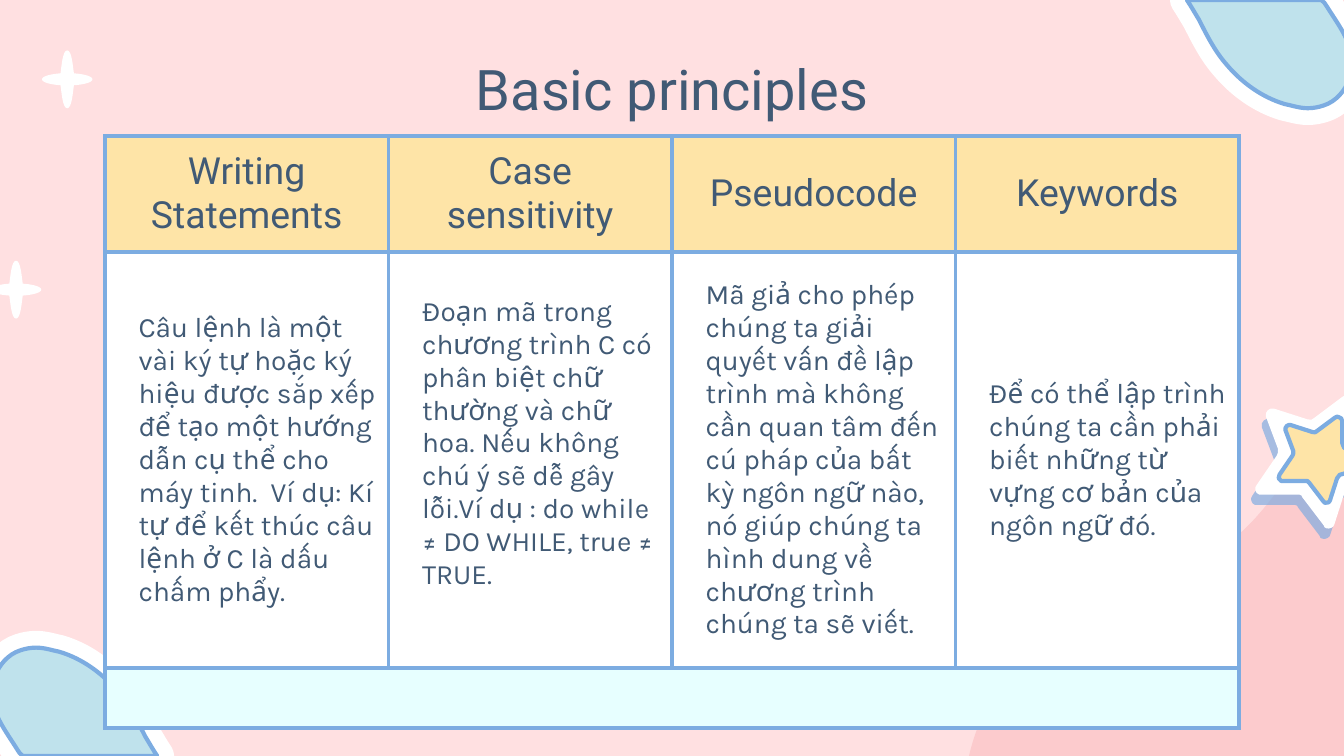
"""Builds the "Basic principles" slide with its table and pastel shapes."""
from dataclasses import dataclass

from lxml.etree import SubElement as Sub
from pptx import Presentation
from pptx.dml.color import RGBColor as Rgb
from pptx.enum.text import MSO_ANCHOR as Anchor, PP_ALIGN as Align
from pptx.oxml.ns import qn
from pptx.util import Pt

Path = list[tuple[float, ...]]
WIDE, HIGH = 720, 405
INK, BLUE, WHITE, MINT = "415A75", "7CACE1", "FFFFFF", "E7FFFF"
SAND, SKY, ROSE, BLUSH = "FEE4A7", "BFE2EC", "FCCBCD", "FFE0E1"
HEAD = {"size": Pt(20), "name": "Roboto"}
BODY = {"size": Pt(15), "name": "Karla"}
TITLE = {"size": Pt(30), "name": "Roboto"}
EDGES = ("a:lnL", "a:lnR", "a:lnT", "a:lnB")

DROP: Path = [
    (12.2, 405), (10.8, 404, 10, 403, 9.4, 401.8), (5.8, 396, 1.4, 390, -1.4, 383.8),
    (-4.3, 377.3, -5, 370, -2.9, 362.9), (-0.7, 356.4, 4.3, 350.6, 10.8, 348.5),
    (13.7, 347.5, 16.6, 347, 19.4, 347), (23.8, 347, 28.1, 348.5, 31.7, 349.2),
    (43.9, 352.8, 54.7, 360.7, 62.6, 370), (69.1, 377.3, 73.4, 385.9, 77.8, 394.6),
    (79.9, 398, 82, 401.8, 84.2, 405)]
WAVE: Path = [
    (519.1, 405), (525.6, 376.6, 542.9, 351.4, 566.6, 335.5),
    (595.4, 316.8, 631.4, 311.8, 658.1, 290.9), (679.7, 274.3, 692.6, 249.8, 708.5, 228.2),
    (712.1, 223.9, 715.7, 218.9, 720, 214.6), (720, 405)]
STAR: Path = [
    (14, -31.7), (13.3, -32.4, 11.9, -32.4, 10.4, -31),
    (-4, -20.2), (-4.7, -19.4, -6.1, -18.7, -7.6, -19.4),
    (-25.6, -25.2), (-27.7, -25.9, -30.6, -23.8, -29.9, -20.9),
    (-23.4, -3.6), (-23.4, -2.2, -23.4, -0.7, -24.1, 0),
    (-34.9, 15.8), (-36.4, 17.3, -35.6, 20.2, -33.5, 20.9),
    (-32.8, 20.9, -32.8, 20.9, -32, 20.9),
    (-12.6, 20.9), (-12.6, 20.9, -12.6, 20.9, -11.9, 20.9),
    (-11.2, 20.9, -10.4, 21.6, -10.4, 22.3),
    (1.1, 37.4), (1.1, 38.2, 1.8, 38.9, 2.5, 38.9), (4, 39.6, 6.8, 38.2, 6.8, 36.7),
    (12.6, 18.7), (13.3, 17.3, 14, 16.6, 14.8, 15.8),
    (32.8, 10.8), (35.6, 9.4, 36.4, 5.8, 34.2, 4.3),
    (18.4, -6.5), (17.6, -7.9, 16.9, -8.6, 16.9, -10.1),
    (16.9, -28.1), (16.9, -30.2, 15.5, -31.7, 14, -31.7)]
ARM = [(0, -15.5), (-2.5, -15.5), (-3, -7), (-3.6, -3.2), (-7, -3), (-13.5, -2), (-13.5, 0)]


@dataclass
class Column:
    head: str
    body: str
    foot: float = 5


@dataclass
class Blob:
    route: Path
    fill: str
    line: str = ""
    width: float = 0


COLUMNS = [
    Column("Writing Statements",
           "Câu lệnh là một vài ký tự hoặc ký hiệu được sắp xếp để tạo một hướng dẫn cụ thể "
           "cho máy tinh.  Ví dụ: Kí tự để kết thúc câu lệnh ở C là dấu chấm phẩy."),
    Column("Case sensitivity",
           "Ðoạn mã trong chương trình C có phân biệt chữ thường và chữ hoa. Nếu không chú ý "
           "sẽ dễ gây lỗi.Ví dụ : do while ≠ DO WHILE, true ≠ TRUE.", 22.6),
    Column("Pseudocode",
           "Mã giả cho phép chúng ta giải quyết vấn đề lập trình mà không cần quan tâm đến cú "
           "pháp của bất kỳ ngôn ngữ nào, nó giúp chúng ta hình dung về chương trình chúng ta "
           "sẽ viết."),
    Column("Keywords",
           "Để có thể lập trình chúng ta cần phải biết những từ vựng cơ bản của ngôn ngữ đó."),
]


def tint(code: str) -> Rgb:
    return Rgb.from_string(code)


def move(route: Path, x: float, y: float, scale: float = 1) -> Path:
    return [tuple((y if i % 2 else x) + scale * n for i, n in enumerate(part))
            for part in route]


def spark() -> Path:
    half = ARM + [(x, -y) for x, y in ARM[-2::-1]]
    ring = half + [(-x, -y) for x, y in half[1:]]
    return [ring[0]] + [sum(ring[i:i + 3], ()) for i in range(1, len(ring), 3)]


def draw(shapes, blob: Blob):
    ends = [(Pt(part[-2]), Pt(part[-1])) for part in blob.route]
    pen = shapes.build_freeform(*ends[0], scale=1)
    pen.add_line_segments(ends[1:], close=False)
    shape = pen.convert_to_shape()
    track = next(shape._element.iter(qn("a:path")))
    for part, node in zip(blob.route[1:], track.findall(qn("a:lnTo"))):
        if len(part) == 6:
            node.tag = qn("a:cubicBezTo")
            for i in (2, 0):
                spot = {"x": str(Pt(part[i]) - shape.left), "y": str(Pt(part[i + 1]) - shape.top)}
                node.insert(0, node.makeelement(qn("a:pt"), spot))
    Sub(track, qn("a:close"))
    shape.shadow.inherit = False
    shape.fill.solid()
    shape.fill.fore_color.rgb = tint(blob.fill)
    if blob.line:
        shape.line.color.rgb = tint(blob.line)
        shape.line.width = Pt(blob.width)
    else:
        shape.line.fill.background()
    return shape


def shade(shape) -> None:
    glow = shape._element.spPr.find(qn("a:effectLst"))
    drop = Sub(glow, qn("a:outerShdw"), blurRad="0", dist=str(Pt(6)),
               dir="6708000", algn="bl", rotWithShape="0")
    hue = Sub(drop, qn("a:srgbClr"), val=BLUE)
    Sub(hue, qn("a:alpha"), val="67000")


def write(frame, text: str, look: dict, align: Align) -> None:
    para = frame.paragraphs[0]
    para.alignment = align
    run = para.add_run()
    run.text = text
    run.font.color.rgb = tint(INK)
    for key, value in look.items():
        setattr(run.font, key, value)


def style(cell, fill: str, pad: float) -> None:
    form = {"margin_left": Pt(7.2), "margin_right": Pt(6), "margin_top": Pt(pad),
            "margin_bottom": Pt(pad), "vertical_anchor": Anchor.MIDDLE}
    for key, value in form.items():
        setattr(cell, key, value)
    props = cell._tc.get_or_add_tcPr()
    for edge in EDGES:
        line = Sub(props, qn(edge), w=str(Pt(2.25)))
        Sub(Sub(line, qn("a:solidFill")), qn("a:srgbClr"), val=BLUE)
    cell.fill.solid()
    cell.fill.fore_color.rgb = tint(fill)


def grid(shapes) -> None:
    rows = [(61, SAND, 7), (223, WHITE, 5), (32, MINT, 3)]
    table = shapes.add_table(3, 4, Pt(56.25), Pt(73), Pt(607.6), Pt(316)).table
    table.first_row = table.horz_banding = False
    for r, (height, fill, pad) in enumerate(rows):
        table.rows[r].height = Pt(height)
        for c in range(4):
            style(table.cell(r, c), fill, pad)
    for c, column in enumerate(COLUMNS):
        table.columns[c].width = Pt(151.9)
        head, body = table.cell(0, c), table.cell(1, c)
        head.margin_right = Pt(7.2)
        write(head.text_frame, column.head, HEAD, Align.CENTER)
        body.margin_bottom = Pt(column.foot)
        write(body.text_frame, column.body, BODY, Align.LEFT)
        body.text_frame.paragraphs[0]._p.get_or_add_pPr().set("marL", str(Pt(10.8)))
    table.cell(2, 0).merge(table.cell(2, 3))


def main() -> None:
    deck = Presentation()
    deck.slide_width, deck.slide_height = Pt(WIDE), Pt(HIGH)
    slide = deck.slides.add_slide(deck.slide_layouts[6])
    slide.background.fill.solid()
    slide.background.fill.fore_color.rgb = tint(BLUSH)
    shapes = slide.shapes
    for route in (DROP, move(DROP, WIDE, HIGH, -1)):
        draw(shapes, Blob(route, MINT, WHITE, 18))
        draw(shapes, Blob(route, SKY, BLUE, 2.25))
    draw(shapes, Blob(WAVE, ROSE))
    shade(draw(shapes, Blob(move(STAR, 708.1, 244.1), WHITE)))
    draw(shapes, Blob(move(STAR, 708.1, 244.1, 0.65), SAND, BLUE, 2.25))
    for x, y in ((8.6, 155.2), (36, 42.5)):
        draw(shapes, Blob(move(spark(), x, y), WHITE))

    frame = shapes.add_textbox(Pt(56.25), Pt(22), Pt(607.6), Pt(45)).text_frame
    frame.word_wrap = True
    for side in ("left", "right", "top", "bottom"):
        setattr(frame, f"margin_{side}", Pt(7.2))
    write(frame, "Basic principles", TITLE, Align.CENTER)
    grid(shapes)
    deck.save("out.pptx")


if __name__ == "__main__":
    main()
